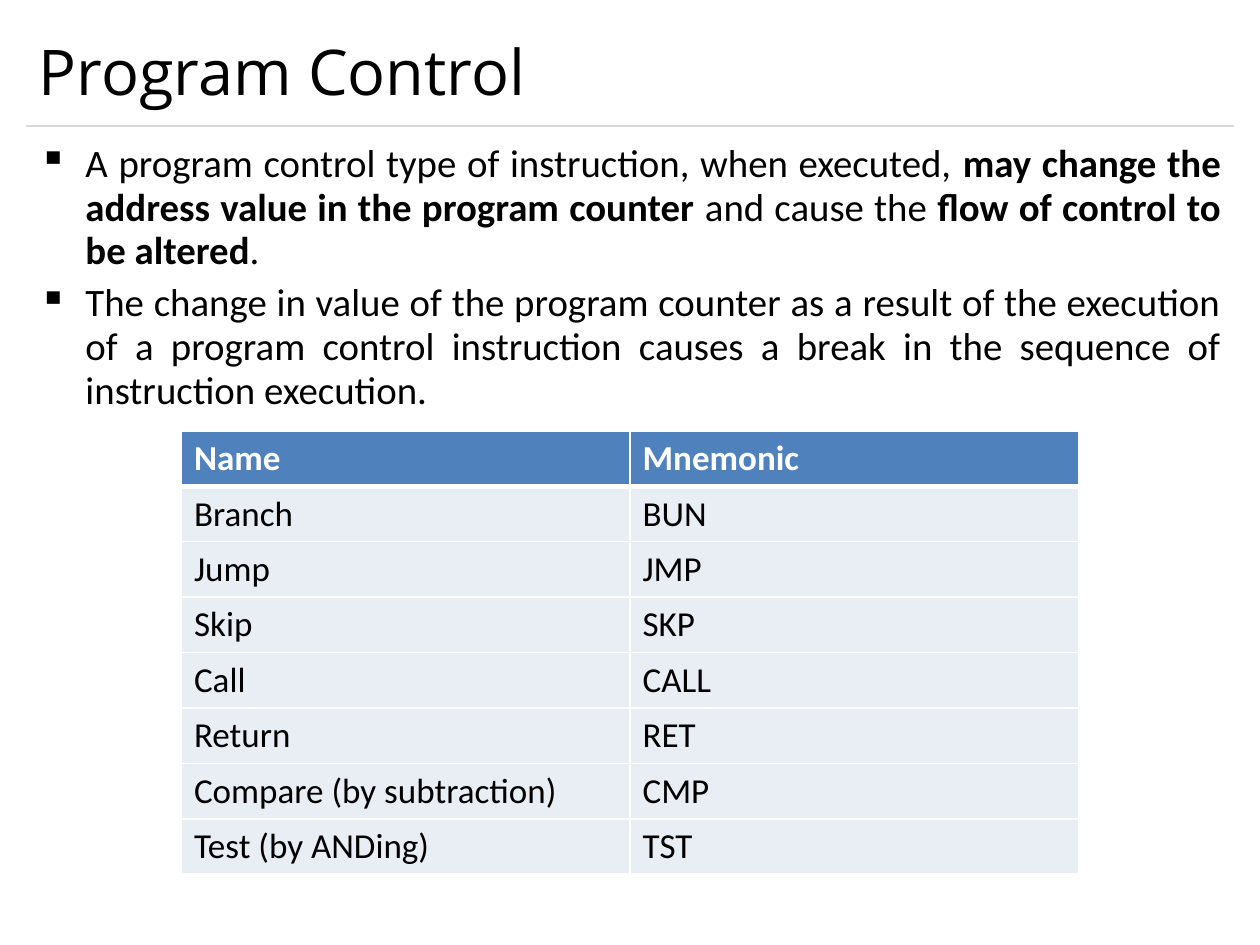
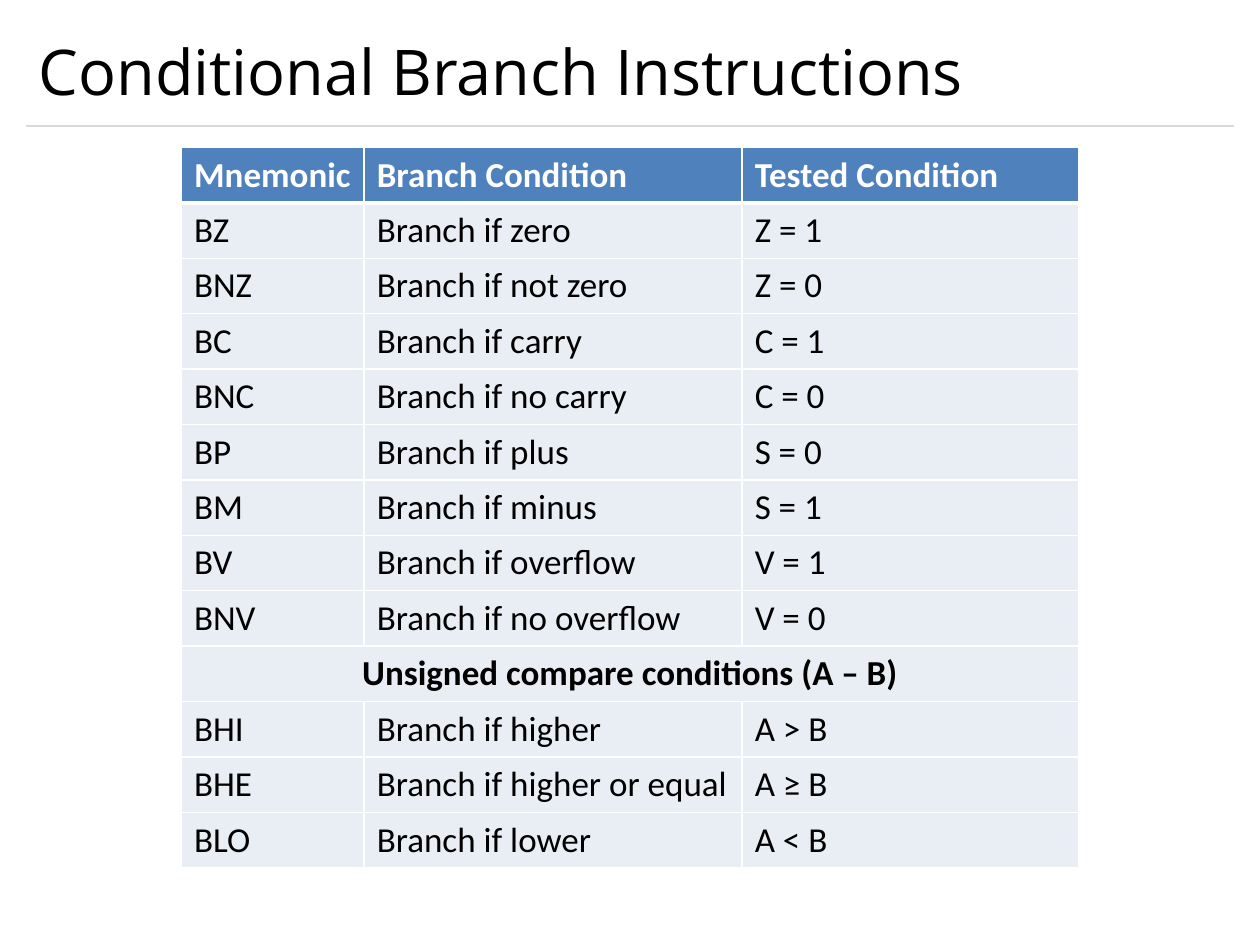
from lxml.etree import SubElement
from pptx import Presentation
from pptx.dml.color import RGBColor
from pptx.enum.shapes import MSO_CONNECTOR
from pptx.enum.text import MSO_ANCHOR, PP_ALIGN
from pptx.oxml.ns import qn
from pptx.util import Inches, Pt

BLACK = RGBColor(0x00, 0x00, 0x00)
WHITE = RGBColor(0xFF, 0xFF, 0xFF)
RULE_GREY = RGBColor(0xD9, 0xD9, 0xD9)
HEADER_BLUE = RGBColor(0x4F, 0x81, 0xBD)
ROW_TINT = RGBColor(0xE9, 0xED, 0xF4)

LEFT, WIDTH = 0.21, 9.58
RULE_TOP = 1
TABLE_LEFT, ROW_HEIGHT = 1.44, 0.44

CONTROL_POINTS = [
    [
        ("A program control type of instruction, when executed, ", False),
        ("may change the address value in the program counter ", True),
        ("and cause the ", False),
        ("flow of control to be altered", True),
        (".", False),
    ],
    [
        ("The change in value of the program counter as a result of the execution of a "
         "program control instruction causes a break in the sequence of instruction "
         "execution.", False),
    ],
]

CONTROL_INSTRUCTIONS = [
    ("Name", "Mnemonic"),
    ("Branch", "BUN"),
    ("Jump", "JMP"),
    ("Skip", "SKP"),
    ("Call", "CALL"),
    ("Return", "RET"),
    ("Compare (by subtraction)", "CMP"),
    ("Test (by ANDing)", "TST"),
]

BRANCH_INSTRUCTIONS = [
    ("Mnemonic", "Branch Condition", "Tested Condition"),
    ("BZ", "Branch if zero", "Z = 1"),
    ("BNZ", "Branch if not zero", "Z = 0"),
    ("BC", "Branch if carry", "C = 1"),
    ("BNC", "Branch if no carry", "C = 0"),
    ("BP", "Branch if plus", "S = 0"),
    ("BM", "Branch if minus", "S = 1"),
    ("BV", "Branch if overflow", "V = 1"),
    ("BNV", "Branch if no overflow", "V = 0"),
    ("Unsigned compare conditions (A – B)",),
    ("BHI", "Branch if higher", "A > B"),
    ("BHE", "Branch if higher or equal", "A ≥ B"),
    ("BLO", "Branch if lower", "A < B"),
]


class LectureDeck:
    """Hold the lecture style and the slide being built."""

    def __init__(self):
        self.presentation = Presentation()
        self.presentation.slide_width = Inches(10)
        self.presentation.slide_height = Inches(7.5)
        self.slide = None

    def add_slide(self, title):
        """Start a slide with its rule and title."""
        self.slide = self.presentation.slides.add_slide(self.presentation.slide_layouts[6])
        self.add_rule()
        text_frame = self.add_text_box(0.12, 0.88)
        text_frame.vertical_anchor = MSO_ANCHOR.MIDDLE
        text_frame.text = title
        self.format_font(text_frame.paragraphs[0].font, 36, name="Open Sans")

    def add_rule(self):
        """Draw the thin line below the title."""
        rule = self.slide.shapes.add_connector(
            MSO_CONNECTOR.STRAIGHT, Inches(LEFT), Inches(RULE_TOP),
            Inches(LEFT + WIDTH), Inches(RULE_TOP))
        rule.line.color.rgb = RULE_GREY
        rule.line.width = Pt(0.75)
        SubElement(rule.element.spPr, qn("a:effectLst"))

    def add_text_box(self, top, height):
        """Add a wrapping text box across the slide and return its text frame."""
        text_box = self.slide.shapes.add_textbox(
            Inches(LEFT), Inches(top), Inches(WIDTH), Inches(height))
        text_box.text_frame.word_wrap = True
        return text_box.text_frame

    def format_font(self, font, size, color=BLACK, bold=False, name="Calibri"):
        """Apply the font settings."""
        font.name = name
        font.size = Pt(size)
        font.bold = bold
        font.color.rgb = color

    def add_bullets(self, points, top, height):
        """Add justified bullets whose runs are pairs of text and boldness."""
        text_frame = self.add_text_box(top, height)
        for index, point in enumerate(points):
            paragraph = text_frame.add_paragraph() if index else text_frame.paragraphs[0]
            properties = paragraph._p.get_or_add_pPr()
            properties.set("marL", str(Inches(0.37)))
            properties.set("indent", str(-Inches(0.37)))
            SubElement(properties, qn("a:buChar"), char="▪")
            paragraph.alignment = PP_ALIGN.JUSTIFY
            paragraph.line_spacing = 0.94
            paragraph.space_before = Pt(4.4 if index else 0)
            for text, bold in point:
                run = paragraph.add_run()
                run.text = text
                self.format_font(run.font, 22.2, bold=bold)

    def add_table(self, rows, column_widths, top):
        """Add a table with a header row; a row of one text spans all columns."""
        columns = len(column_widths)
        table = self.slide.shapes.add_table(
            len(rows), columns, Inches(TABLE_LEFT), Inches(top),
            Inches(sum(column_widths)), Inches(ROW_HEIGHT * len(rows))).table
        for column, width in zip(table.columns, column_widths):
            column.width = Inches(width)
        for row_index, texts in enumerate(rows):
            table.rows[row_index].height = Inches(ROW_HEIGHT)
            for column_index in range(columns):
                self.format_cell(table.cell(row_index, column_index), row_index)
            spanning = len(texts) == 1
            if spanning:
                table.cell(row_index, 0).merge(table.cell(row_index, columns - 1))
            for column_index, text in enumerate(texts):
                cell = table.cell(row_index, column_index)
                cell.text_frame.text = text
                paragraph = cell.text_frame.paragraphs[0]
                header = row_index == 0
                self.format_font(paragraph.runs[0].font, 20,
                                 WHITE if header else BLACK, header or spanning)
                if spanning:
                    paragraph.alignment = PP_ALIGN.CENTER

    def format_cell(self, cell, row_index):
        """Set white borders and the fill, with a thick line below the header."""
        properties = cell._tc.get_or_add_tcPr()
        widths = {"lnL": 1, "lnR": 1,
                  "lnT": 3 if row_index == 1 else 1,
                  "lnB": 3 if row_index == 0 else 1}
        for side, width in widths.items():
            border = SubElement(properties, qn(f"a:{side}"), w=str(Pt(width)))
            fill = SubElement(border, qn("a:solidFill"))
            SubElement(fill, qn("a:srgbClr"), val=str(WHITE))
        cell.fill.solid()
        cell.fill.fore_color.rgb = ROW_TINT if row_index else HEADER_BLUE


def main():
    """Build and save the two slides."""
    deck = LectureDeck()
    deck.add_slide("Program Control")
    deck.add_bullets(CONTROL_POINTS, 1.08, 2.33)
    deck.add_table(CONTROL_INSTRUCTIONS, [3.56, 3.56], 3.42)
    deck.add_slide("Conditional Branch Instructions")
    deck.add_table(BRANCH_INSTRUCTIONS, [1.45, 3, 2.67], 1.17)
    deck.presentation.save("out.pptx")


if __name__ == "__main__":
    main()
